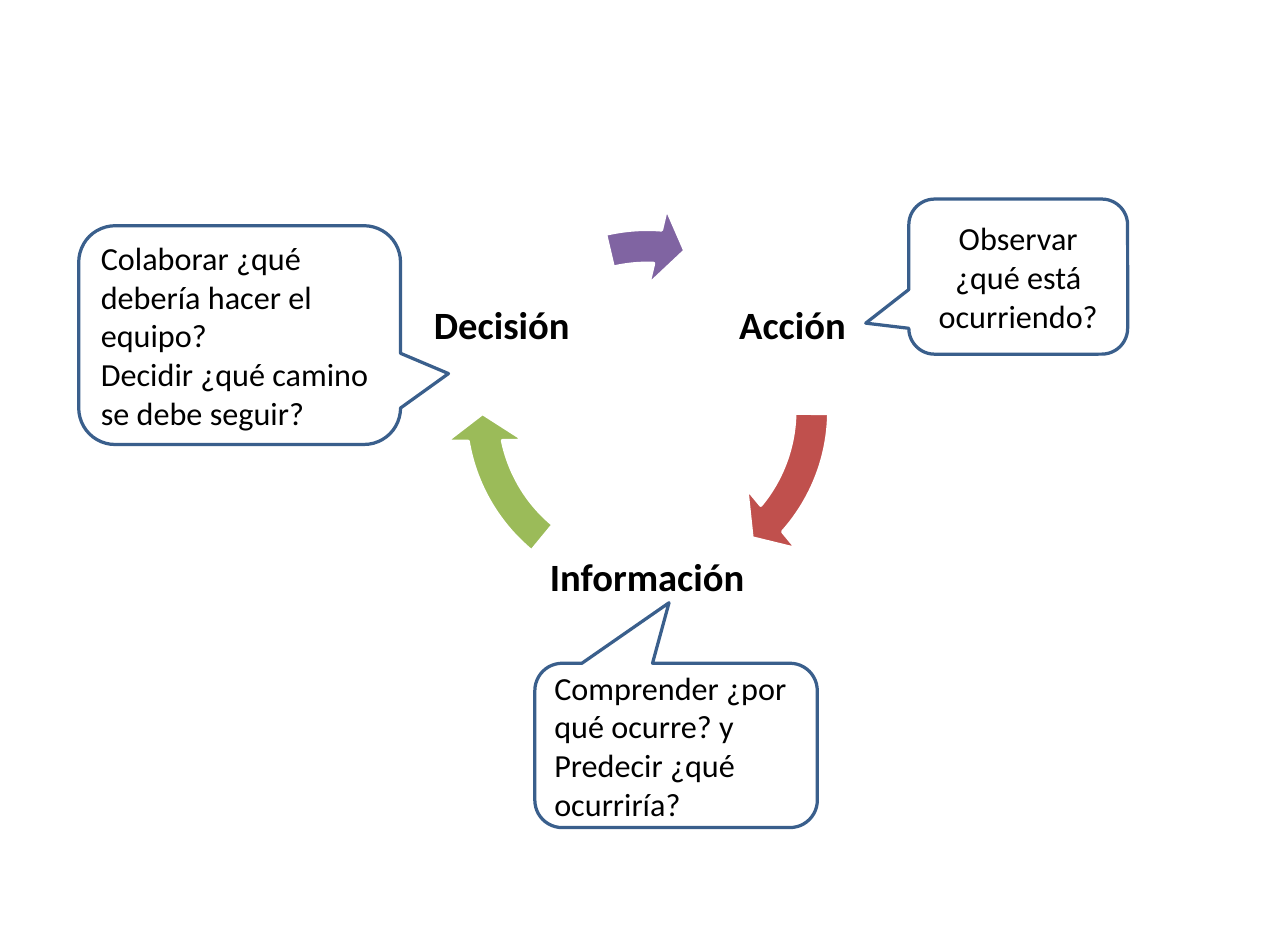
"""Build a decision cycle slide with three stages and callouts."""
import dataclasses
import math

import pptx
import pptx.dml.color
import pptx.enum.shapes
import pptx.enum.text
import pptx.util

Inches = pptx.util.Inches
Pt = pptx.util.Pt
Kind = pptx.enum.shapes.MSO_SHAPE
Align = pptx.enum.text.PP_ALIGN
Middle = pptx.enum.text.MSO_ANCHOR.MIDDLE

FONT = "Calibri"
BLACK = "000000"
WHITE = "FFFFFF"
BLUE = "3A5F8C"
MID = (5.59, 3.55)
ORBIT = 1.45
RING = 3.52
LABEL = (1.84, 1.49)


@dataclasses.dataclass
class Stage:
    name: str
    angle: float
    color: str
    end: float
    start: float


@dataclasses.dataclass
class Callout:
    box: tuple[float, float, float, float]
    tip: tuple[float, float]
    align: Align
    lines: list[str]


STAGES = [
    Stage("Acción", -30, "C0504D", 24.5, 0.52),
    Stage("Información", 90, "9BBB59", 101.71, 77.74),
    Stage("Decisión", 210, "8064A2", 164.18, 154.06),
]
CALLOUTS = [
    Callout((7.85, 1.72, 1.89, 1.34), (-69.7, 30), Align.CENTER,
            ["Observar ¿qué está ocurriendo?"]),
    Callout((4.62, 5.73, 2.44, 1.42), (-2.5, -86.8), Align.LEFT,
            ["Comprender ¿por qué ocurre? y", "Predecir ¿qué ocurriría?"]),
    Callout((0.68, 1.95, 2.78, 1.89), (64.9, 17.6), Align.LEFT,
            ["Colaborar ¿qué debería hacer el equipo?",
             "Decidir ¿qué camino se debe seguir?"]),
]


def rgb(code: str) -> pptx.dml.color.RGBColor:
    return pptx.dml.color.RGBColor.from_string(code)


def write(frame, lines: list[str], size: int, align: Align, bold: bool = False) -> None:
    frame.word_wrap = True
    frame.vertical_anchor = Middle
    for i, line in enumerate(lines):
        para = frame.paragraphs[0] if i == 0 else frame.add_paragraph()
        para.alignment = align
        run = para.add_run()
        run.text = line
        run.font.name = FONT
        run.font.size = Pt(size)
        run.font.bold = bold
        run.font.color.rgb = rgb(BLACK)


def add_shape(slide, kind: Kind, box: tuple, edge: str, adjust: list[float]):
    shape = slide.shapes.add_shape(kind, *map(Inches, box))
    shape.shadow.inherit = False
    shape.line.color.rgb = rgb(edge)
    shape.line.width = Pt(2)
    for i, value in enumerate(adjust):
        shape.adjustments[i] = value
    return shape


def add_stage(slide, stage: Stage) -> None:
    turn = math.radians(stage.angle)
    wide, high = LABEL
    left = MID[0] + ORBIT * math.cos(turn) - wide / 2
    top = MID[1] + ORBIT * math.sin(turn) - high / 2
    frame = slide.shapes.add_textbox(*map(Inches, (left, top, wide, high))).text_frame
    frame.margin_left = frame.margin_right = Inches(0.03)
    frame.margin_top = frame.margin_bottom = Inches(0.03)
    write(frame, [stage.name], 24, Align.CENTER, True)
    frame.paragraphs[0].line_spacing = 0.9

    box = (MID[0] - RING / 2, MID[1] - RING / 2, RING, RING)
    arrow = add_shape(slide, Kind.CIRCULAR_ARROW, box, WHITE,
                      [8.3 / 100, 5.76, stage.end, stage.start, 9.6 / 100])
    arrow.fill.solid()
    arrow.fill.fore_color.rgb = rgb(stage.color)


def add_callout(slide, note: Callout) -> None:
    shape = add_shape(slide, Kind.ROUNDED_RECTANGULAR_CALLOUT, note.box, BLUE,
                      [note.tip[0] / 100, note.tip[1] / 100, 1 / 6])
    shape.fill.background()
    write(shape.text_frame, note.lines, 20, note.align)


def main() -> None:
    deck = pptx.Presentation()
    deck.slide_width = Pt(801)
    deck.slide_height = Inches(8)
    slide = deck.slides.add_slide(deck.slide_layouts[6])
    for stage in STAGES:
        add_stage(slide, stage)
    for note in CALLOUTS:
        add_callout(slide, note)
    deck.save("out.pptx")


if __name__ == "__main__":
    main()
